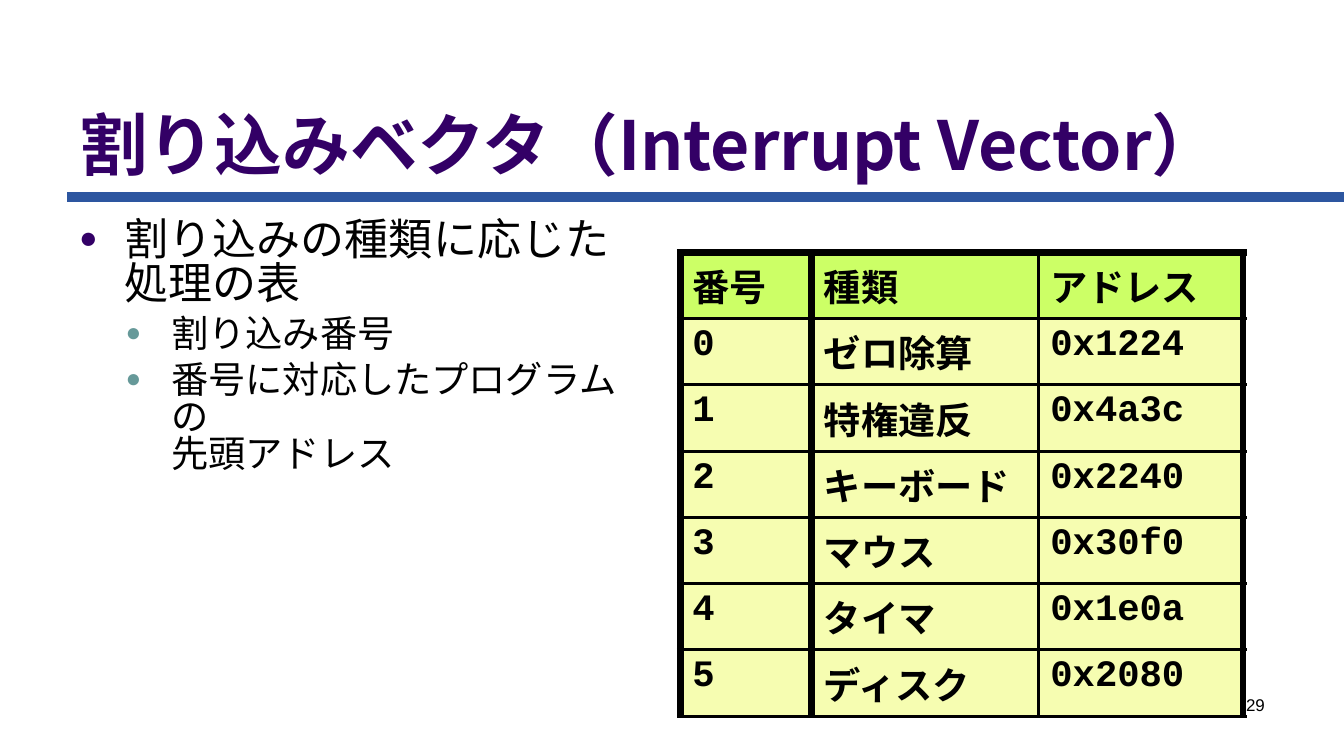
from lxml import etree
from pptx import Presentation, util as u
from pptx.dml.color import RGBColor
from pptx.enum import shapes, text
from pptx.oxml.ns import qn

SANS, MONO, SMALL = "Noto Sans CJK JP", "Courier New", "Arial"
BLACK, PURPLE, TEAL, BLUE = "000000", "330066", "669999", "2D56A0"
HEAD_FILL, BODY_FILL = "CCFF66", "F6FDB1"
THIN, THICK = 1.98, 4.48

BULLETS = [
    (0, "割り込みの種類に応じた\n処理の表"),
    (1, "割り込み番号"),
    (1, "番号に対応したプログラムの\n先頭アドレス"),
]
# Per level: size, bullet colour, left indent in cm, space before
LEVELS = [(26, PURPLE, 0.95, 6.5), (22, TEAL, 1.92, 5.5)]
VECTORS = [
    ("番号", "種類", "アドレス"),
    ("0", "ゼロ除算", "0x1224"),
    ("1", "特権違反", "0x4a3c"),
    ("2", "キーボード", "0x2240"),
    ("3", "マウス", "0x30f0"),
    ("4", "タイマ", "0x1e0a"),
    ("5", "ディスク", "0x2080"),
]


def colour(value):
    return RGBColor.from_string(value)


def child(parent, tag, **attributes):
    return etree.SubElement(parent, qn(tag), attributes)


class SlideBuilder:
    def __init__(self, deck):
        self.page = deck.slides.add_slide(deck.slide_layouts[5])

    def style(self, para, size, font=SANS, tint=BLACK, bold=False):
        para.font.size = u.Pt(size)
        para.font.bold = bold
        para.font.color.rgb = colour(tint)
        para.font.name = font
        child(para.font._element, "a:ea", typeface=SANS)

    def title(self, words, left, top, width, height):
        box = self.page.shapes.title
        box.left, box.top, box.width, box.height = map(u.Cm, (left, top, width, height))
        frame = box.text_frame
        frame.text = words
        frame.auto_size = text.MSO_AUTO_SIZE.NONE
        frame.vertical_anchor = text.MSO_ANCHOR.BOTTOM
        para = frame.paragraphs[0]
        para.alignment = text.PP_ALIGN.LEFT
        self.style(para, 40, tint=PURPLE, bold=True)

    def rule(self, left, right, y):
        line = self.page.shapes.add_connector(
            shapes.MSO_CONNECTOR.STRAIGHT, u.Cm(left), u.Cm(y), u.Cm(right), u.Cm(y))
        line.line.color.rgb = colour(BLUE)
        line.line.width = u.Pt(5.67)
        child(line._element.spPr, "a:effectLst")

    def text_frame(self, left, top, width, height):
        box = self.page.shapes.add_textbox(*map(u.Cm, (left, top, width, height)))
        box.text_frame.word_wrap = True
        return box.text_frame

    def bullets(self, items, *place):
        frame = self.text_frame(*place)
        for index, (level, words) in enumerate(items):
            size, tint, indent, before = LEVELS[level]
            para = frame.add_paragraph() if index else frame.paragraphs[0]
            para.text = words
            para.level = level
            para.line_spacing = 0.83
            if index:
                para.space_before = u.Pt(before)
            props = para._p.get_or_add_pPr()
            props.set("marL", str(u.Cm(indent)))
            props.set("indent", str(-u.Cm(0.95)))
            child(child(props, "a:buClr"), "a:srgbClr", val=tint)
            child(props, "a:buSzPct", val="70000")
            child(props, "a:buFont", typeface=SMALL)
            child(props, "a:buChar", char="●")
            self.style(para, size)

    def borders(self, cell, **widths):
        props = cell._tc.get_or_add_tcPr()
        for side in "LRTB":
            line = child(props, f"a:ln{side}", w=str(u.Pt(widths.get(side, THIN))))
            child(child(line, "a:solidFill"), "a:srgbClr", val=BLACK)

    def table(self, rows, left, top, widths, row_height):
        grid = self.page.shapes.add_table(
            len(rows), len(widths), u.Cm(left), u.Cm(top),
            u.Cm(sum(widths)), u.Cm(row_height * len(rows))).table
        grid.first_row = grid.horz_banding = False
        for column, width in zip(grid.columns, widths):
            column.width = u.Cm(width)
        last = len(widths) - 1
        for r, row in enumerate(rows):
            for c, words in enumerate(row):
                cell = grid.cell(r, c)
                self.borders(cell,
                             L=THICK if c < last else THIN,
                             R=THIN if c == 1 else THICK,
                             T=THIN if r else THICK)
                cell.fill.solid()
                cell.fill.fore_color.rgb = colour(BODY_FILL if r else HEAD_FILL)
                cell.text = words
                self.style(cell.text_frame.paragraphs[0], 22, MONO, bold=True)

    def page_number(self, number, *place):
        para = self.text_frame(*place).paragraphs[0]
        para.text = number
        para.alignment = text.PP_ALIGN.RIGHT
        self.style(para, 10, SMALL)


def main():
    deck = Presentation()
    deck.slide_width, deck.slide_height = u.Cm(28), u.Cm(15.75)
    slide = SlideBuilder(deck)
    slide.rule(1.4, 28, 4.1)
    slide.title("割り込みベクタ（Interrupt Vector）", 1.4, 1, 25.2, 2.97)
    slide.bullets(BULLETS, 1.4, 4.47, 12.3, 9.25)
    slide.table(VECTORS, 14.17, 5.26, (2.74, 4.72, 4.27), 1.38)
    slide.page_number("29", 20.07, 14.35, 6.53, 1.04)
    deck.save("out.pptx")


if __name__ == "__main__":
    main()
